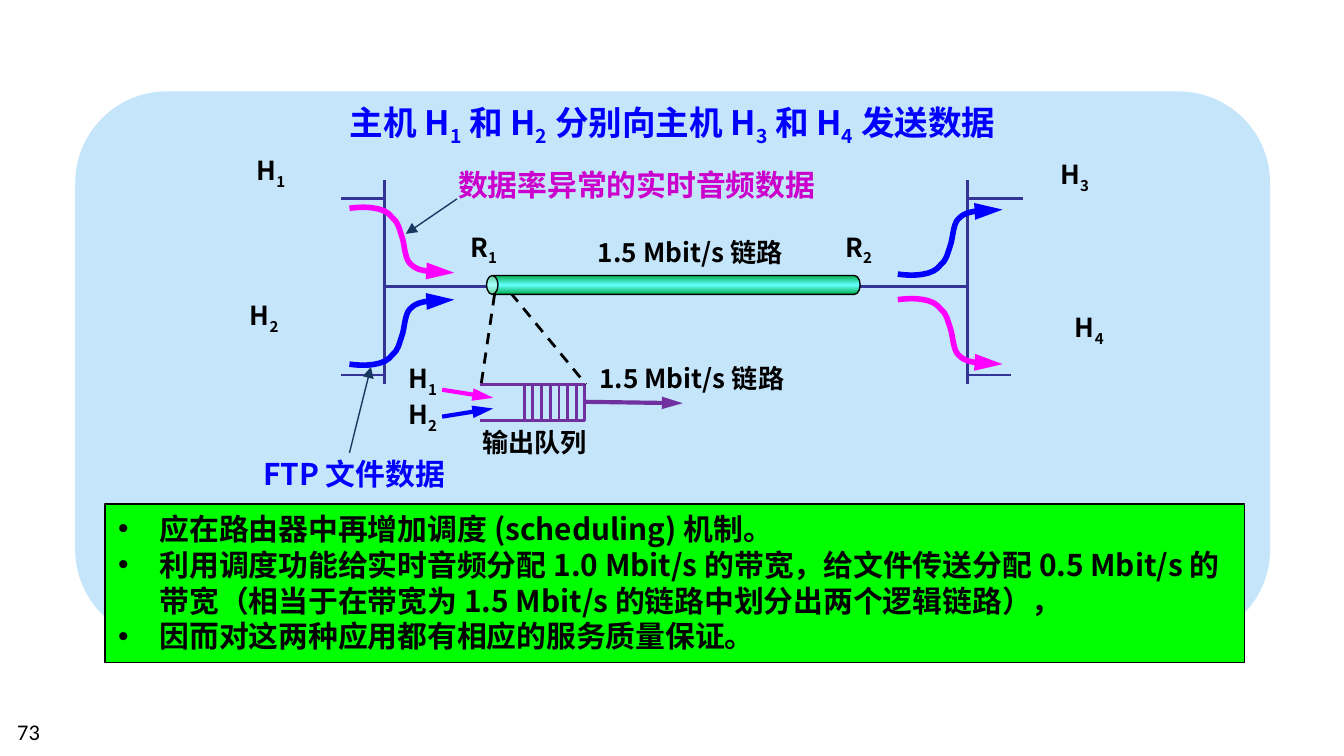
import copy
from dataclasses import dataclass

import pptx
import pptx.dml.color
import pptx.enum.dml
import pptx.enum.shapes
import pptx.enum.text
import pptx.oxml
import pptx.oxml.ns
import pptx.util

Inches = pptx.util.Inches
Pt = pptx.util.Pt
qn = pptx.oxml.ns.qn
Shapes = pptx.enum.shapes.MSO_SHAPE

CJK = "Noto Sans CJK SC"
BLACK, BLUE, PINK = "000000", "0000FF", "FF00FF"
MAGENTA, PURPLE, INDIGO, NAVY = "CC00CC", "7030A0", "333399", "17375E"


@dataclass
class Label:
    left: float
    top: float
    width: float
    height: float
    lines: tuple[str, ...]
    size: int = 14
    color: str = BLACK


@dataclass
class Link:
    start: tuple[float, float]
    end: tuple[float, float]
    color: str
    weight: float = 1.5
    head: str = ""
    dashed: bool = False


@dataclass
class Flow:
    left: float
    top: float
    direction: int
    color: str


def rgb(value: str) -> pptx.dml.color.RGBColor:
    return pptx.dml.color.RGBColor.from_string(value)


def add_child(parent, tag: str, **attributes: str):
    child = parent.makeelement(qn(tag), attributes)
    parent.append(child)
    return child


def style_line(line, color: str, weight: float, head: str = "") -> None:
    line.color.rgb = rgb(color)
    line.width = Pt(weight)
    if head:
        add_child(line._get_or_add_ln(), "a:tailEnd", type="triangle", w="med", len=head)


def write(paragraph, text: str, size: int, color: str, font: str = CJK) -> None:
    for position, part in enumerate(text.split("|")):
        run = paragraph.add_run()
        run.text = part
        run.font.size = Pt(size)
        run.font.bold = font == CJK
        run.font.color.rgb = rgb(color)
        run.font.name = font
        properties = run._r.get_or_add_rPr()
        add_child(properties, "a:ea", typeface=font)
        if position % 2:
            properties.set("baseline", "-25000")


def draw_label(slide, label: Label, wrap: bool = False):
    box = slide.shapes.add_textbox(
        Inches(label.left), Inches(label.top), Inches(label.width), Inches(label.height))
    frame = box.text_frame
    frame.word_wrap = wrap
    for index, line in enumerate(label.lines):
        paragraph = frame.add_paragraph() if index else frame.paragraphs[0]
        write(paragraph, line, label.size, label.color)
    return frame


def draw_link(slide, link: Link) -> None:
    connector = slide.shapes.add_connector(
        pptx.enum.shapes.MSO_CONNECTOR.STRAIGHT,
        *(Inches(value) for value in (*link.start, *link.end)))
    if link.dashed:
        connector.line.dash_style = pptx.enum.dml.MSO_LINE.DASH
    style_line(connector.line, link.color, link.weight, link.head)
    add_child(connector._element.spPr, "a:effectLst")


def draw_open_path(slide, points: list, color: str, weight: float, head: str = ""):
    builder = slide.shapes.build_freeform(
        Inches(points[0][0]), Inches(points[0][1]), scale=1.0)
    builder.add_line_segments(
        [(Inches(x), Inches(y)) for x, y in points[1:]], close=False)
    outline = builder.convert_to_shape()
    outline.shadow.inherit = False
    outline.fill.background()
    style_line(outline.line, color, weight, head)
    return outline


FLOW_CONTROLS = (
    (0, 0), (0.07, -0.01), (0.14, -0.01), (0.19, 0), (0.25, 0.01), (0.29, 0.03),
    (0.32, 0.07), (0.36, 0.1), (0.37, 0.15), (0.39, 0.21), (0.41, 0.26),
    (0.41, 0.37), (0.45, 0.41), (0.5, 0.46), (0.59, 0.47), (0.65, 0.48),
    (0.7, 0.49), (0.74, 0.49), (0.78, 0.48))


def draw_flow(slide, flow: Flow) -> None:
    points = [(flow.left + x, flow.top + flow.direction * y) for x, y in FLOW_CONTROLS]
    outline = draw_open_path(slide, points, flow.color, 3, "lg")
    track = next(outline._element.iter(qn("a:path")))
    segments = track.findall(qn("a:lnTo"))
    for first in range(0, len(segments), 3):
        curve = add_child(track, "a:cubicBezTo")
        for segment in segments[first:first + 3]:
            curve.append(segment[0])
            track.remove(segment)


def draw_block(slide, kind, left: float, top: float, width: float, height: float):
    block = slide.shapes.add_shape(
        kind, Inches(left), Inches(top), Inches(width), Inches(height))
    block.shadow.inherit = False
    return block


def draw_pipe(slide) -> None:
    pipe = draw_block(slide, Shapes.CAN, 4.94, 0.73, 0.14, 2.78)
    pipe.rotation = 270
    pipe.adjustments[0] = 0.61
    pipe.fill.gradient()
    pipe.fill.gradient_angle = 0
    stop_list = next(pipe._element.iter(qn("a:gsLst")))
    stop_list.append(copy.deepcopy(stop_list[0]))
    colors = ("00B050", "66FFFF", "00B050")
    for index, (stop, color) in enumerate(zip(pipe.fill.gradient_stops, colors)):
        stop.position = index / 2
        stop.color.rgb = rgb(color)
    style_line(pipe.line, BLACK, 0.75)


def draw_measures(slide, measures: tuple[str, ...]) -> None:
    panel = draw_block(slide, Shapes.RECTANGLE, 0.78, 3.75, 8.48, 1.18)
    panel.fill.solid()
    panel.fill.fore_color.rgb = rgb("00FF00")
    style_line(panel.line, BLACK, 1)
    frame = panel.text_frame
    frame.word_wrap = True
    frame.vertical_anchor = pptx.enum.text.MSO_ANCHOR.TOP
    for index, measure in enumerate(measures):
        paragraph = frame.add_paragraph() if index else frame.paragraphs[0]
        paragraph.alignment = pptx.enum.text.PP_ALIGN.LEFT
        properties = paragraph._p.get_or_add_pPr()
        properties.set("marL", str(Inches(0.31)))
        properties.set("indent", str(Inches(-0.31)))
        add_child(properties, "a:buFont", typeface="Arial")
        add_child(properties, "a:buChar", char="•")
        write(paragraph, measure, 16, BLACK)


NETWORK = [Link((2.86, 2.13), (7.2, 2.13), INDIGO)]
for bus, upper_end, lower_end in ((2.86, 2.54, 2.54), (7.2, 7.61, 7.52)):
    NETWORK += [Link((bus, 1.34), (bus, 2.86), INDIGO),
                Link((upper_end, 1.48), (bus, 1.48), INDIGO),
                Link((lower_end, 2.79), (bus, 2.79), INDIGO)]

QUEUE = [Link((3.9 + 0.065 * slot, 2.86), (3.9 + 0.065 * slot, 3.13), PURPLE)
         for slot in range(7)]
QUEUE += [
    Link((3.29, 3.1), (3.67, 3.04), BLUE, 2.25, "lg"),
    Link((3.29, 2.9), (3.67, 2.96), PINK, 2.25, "lg"),
    Link((4.35, 2.99), (5.08, 3), PURPLE, 2.25, "lg"),
    Link((3.8, 2.18), (4.36, 2.86), BLACK, dashed=True),
    Link((3.68, 2.19), (3.58, 2.86), BLACK, dashed=True),
]
CALLOUTS = [
    Link((3.4, 1.48), (3.02, 1.74), NAVY, 0.75, "med"),
    Link((2.6, 3.37), (2.76, 2.73), NAVY, 0.75, "med"),
]
FLOWS = [
    Flow(6.68, 2.04, -1, BLUE), Flow(6.68, 2.23, 1, PINK),
    Flow(2.6, 1.55, 1, PINK), Flow(2.6, 2.71, -1, BLUE),
]
LABELS = [
    Label(1.81, 1.1, 0.44, 0.34, ("H|1",)),
    Label(1.76, 2.18, 0.44, 0.34, ("H|2",)),
    Label(7.79, 1.13, 0.44, 0.34, ("H|3",)),
    Label(7.9, 2.27, 0.44, 0.34, ("H|4",)),
    Label(3.4, 1.67, 0.42, 0.34, ("R|1",)),
    Label(6.19, 1.67, 0.42, 0.34, ("R|2",)),
    Label(4.35, 1.71, 1.67, 0.34, ("1.5 Mbit/s 链路",)),
    Label(4.36, 2.65, 1.67, 0.34, ("1.5 Mbit/s 链路",)),
    Label(2.94, 2.65, 0.44, 0.57, ("H|1", "H|2")),
    Label(3.49, 3.12, 0.99, 0.34, ("输出队列",)),
    Label(3.31, 1.19, 2.96, 0.37, ("数据率异常的实时音频数据",), 16, MAGENTA),
    Label(1.86, 3.34, 1.65, 0.37, ("FTP 文件数据",), 16, BLUE),
]
TITLE = Label(2.24, 0.71, 5.53, 0.4,
              ("主机 H|1| 和 H|2| 分别向主机 H|3| 和 H|4| 发送数据",), 18, BLUE)
MEASURES = (
    "应在路由器中再增加调度 (scheduling) 机制。",
    "利用调度功能给实时音频分配 1.0 Mbit/s 的带宽，给文件传送分配 0.5 Mbit/s 的带宽"
    "（相当于在带宽为 1.5 Mbit/s 的链路中划分出两个逻辑链路），",
    "因而对这两种应用都有相应的服务质量保证。",
)


def main() -> None:
    deck = pptx.Presentation()
    deck.slide_width = Inches(10)
    deck.slide_height = deck.slide_width * 9 // 16
    slide = deck.slides.add_slide(deck.slide_layouts[6])

    backdrop = draw_block(slide, Shapes.ROUNDED_RECTANGLE, 0.56, 0.68, 8.89, 4.09)
    backdrop.fill.solid()
    backdrop.fill.fore_color.rgb = rgb("C5E5FB")
    backdrop.line.fill.background()

    for link in NETWORK:
        draw_link(slide, link)
    draw_open_path(
        slide, [(3.57, 2.86), (4.35, 2.86), (4.35, 3.13), (3.57, 3.13)], PURPLE, 1.5)
    for link in QUEUE:
        draw_link(slide, link)
    draw_pipe(slide)
    for flow in FLOWS:
        draw_flow(slide, flow)
    for label in LABELS:
        draw_label(slide, label)
    for link in CALLOUTS:
        draw_link(slide, link)
    draw_measures(slide, MEASURES)

    title = draw_label(slide, TITLE, wrap=True)
    title.paragraphs[0].alignment = pptx.enum.text.PP_ALIGN.CENTER
    page_number = draw_label(slide, Label(0.03, 5.29, 2.33, 0.3, ()), wrap=True)
    page_number.vertical_anchor = pptx.enum.text.MSO_ANCHOR.MIDDLE
    write(page_number.paragraphs[0], "73", 12, BLACK, "Calibri")
    deck.save("out.pptx")


if __name__ == "__main__":
    main()
